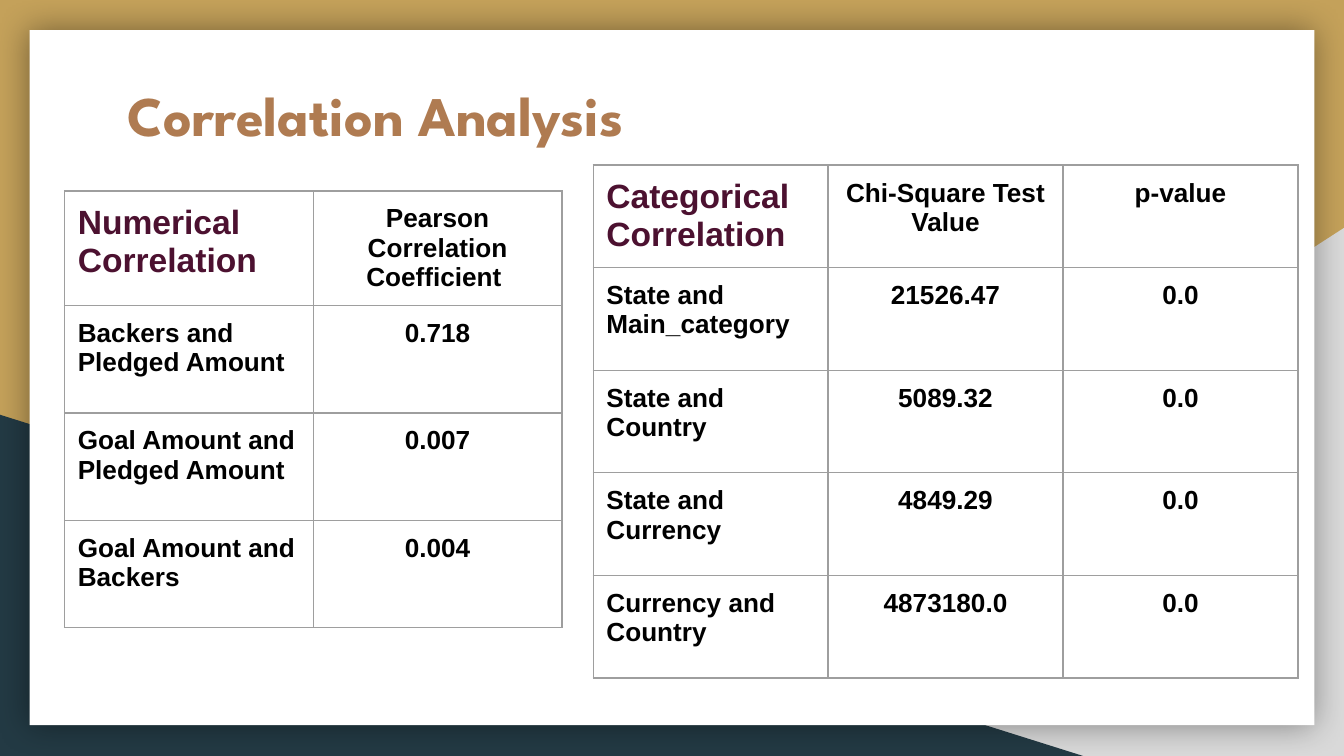
from lxml import etree
from pptx import Presentation
from pptx.dml.color import RGBColor
from pptx.enum import shapes, text
from pptx.oxml import ns
from pptx.util import Cm, Pt

GOLD = RGBColor(0xC4, 0xA1, 0x5A)
GREY = RGBColor(0xD9, 0xD9, 0xD9)
NAVY = RGBColor(0x23, 0x3A, 0x44)
WHITE = RGBColor(0xFF, 0xFF, 0xFF)
BLACK = RGBColor(0x00, 0x00, 0x00)
COPPER = RGBColor(0xAF, 0x7B, 0x51)
PLUM = RGBColor(0x4C, 0x11, 0x30)
BORDER = RGBColor(0x9E, 0x9E, 0x9E)

PLAIN_TABLE = "{2D5ABB26-0587-4C30-8999-92F81FD0307C}"
INSET = Cm(0.25)

NUMERICAL = [
    ("Numerical Correlation", "Pearson Correlation Coefficient "),
    ("Backers and Pledged Amount", "0.718"),
    ("Goal Amount and Pledged Amount", "0.007"),
    ("Goal Amount and Backers", "0.004"),
]
CATEGORICAL = [
    ("Categorical Correlation", "Chi-Square Test Value", "p-value"),
    ("State and Main_category", "21526.47", "0.0"),
    ("State and Country", "5089.32", "0.0"),
    ("State and Currency", "4849.29", "0.0"),
    ("Currency and Country", "4873180.0", "0.0"),
]


def set_font(p, name, size, color):
    p.font.name = name
    p.font.size = Pt(size)
    p.font.bold = True
    p.font.color.rgb = color


def add_block(slide, kind, box, color):
    sp = slide.shapes.add_shape(kind, *map(Cm, box))
    sp.shadow.inherit = False
    sp.fill.solid()
    sp.fill.fore_color.rgb = color
    sp.line.fill.background()
    return sp


def add_glow_shadow(sp):
    effects = sp._element.spPr.find(ns.qn("a:effectLst"))
    shadow = etree.SubElement(effects, ns.qn("a:outerShdw"),
                              blurRad=str(Pt(18)), dist="0", dir="0",
                              algn="ctr", rotWithShape="0")
    color = etree.SubElement(shadow, ns.qn("a:srgbClr"), val=str(BLACK))
    etree.SubElement(color, ns.qn("a:alpha"), val="40000")


def add_backdrop(slide):
    slide.background.fill.solid()
    slide.background.fill.fore_color.rgb = GOLD
    triangle = shapes.MSO_SHAPE.RIGHT_TRIANGLE
    right = add_block(slide, triangle, (9.96, 4.31, 15.44, 9.98), GREY)
    right._element.spPr.xfrm.set("flipH", "1")
    add_block(slide, triangle, (0, 7.84, 20.47, 6.45), NAVY)
    card = add_block(slide, shapes.MSO_SHAPE.RECTANGLE,
                     (0.56, 0.57, 24.28, 13.14), WHITE)
    add_glow_shadow(card)


def add_title(slide, words):
    title = slide.shapes.title
    slide.shapes._spTree.append(title._element)
    title.left, title.top = Cm(2.16), Cm(1.19)
    title.width, title.height = Cm(13.31), Cm(1.93)
    tf = title.text_frame
    tf.text = words
    tf.auto_size = text.MSO_AUTO_SIZE.NONE
    tf.vertical_anchor = text.MSO_ANCHOR.MIDDLE
    tf.margin_left = tf.margin_right = INSET
    tf.margin_top = tf.margin_bottom = INSET
    p = tf.paragraphs[0]
    p.alignment = text.PP_ALIGN.LEFT
    set_font(p, "League Spartan", 30, COPPER)


def add_borders(cell):
    tc_pr = cell._tc.get_or_add_tcPr()
    for index, side in enumerate(("a:lnL", "a:lnR", "a:lnT", "a:lnB")):
        line = etree.Element(ns.qn(side), w=str(Pt(0.75)))
        fill = etree.SubElement(line, ns.qn("a:solidFill"))
        etree.SubElement(fill, ns.qn("a:srgbClr"), val=str(BORDER))
        tc_pr.insert(index, line)


def fill_cell(cell, words, is_heading, is_label):
    cell.text = words
    cell.margin_left = cell.margin_right = INSET
    cell.margin_top = cell.margin_bottom = INSET
    cell.fill.background()
    add_borders(cell)
    p = cell.text_frame.paragraphs[0]
    p.alignment = text.PP_ALIGN.LEFT if is_label else text.PP_ALIGN.CENTER
    if is_heading:
        set_font(p, "Arial", 18, PLUM)
    else:
        set_font(p, "Arial", 14, BLACK)


def add_correlation_table(slide, rows, left, top, col_width, row_height):
    n_rows, n_cols = len(rows), len(rows[0])
    frame = slide.shapes.add_table(
        n_rows, n_cols, Cm(left), Cm(top),
        Cm(col_width * n_cols), Cm(row_height * n_rows))
    table = frame.table
    table.first_row = table.horz_banding = False
    table._tbl.tblPr.find(ns.qn("a:tableStyleId")).text = PLAIN_TABLE
    for r, row in enumerate(rows):
        for c, words in enumerate(row):
            fill_cell(table.cell(r, c), words, r == c == 0, c == 0)


def main():
    prs = Presentation()
    prs.slide_width, prs.slide_height = Cm(25.4), Cm(14.29)
    slide = prs.slides.add_slide(prs.slide_layouts[5])
    add_backdrop(slide)
    add_title(slide, "Correlation Analysis")
    add_correlation_table(slide, NUMERICAL, 1.22, 3.61, 4.7, 2.03)
    add_correlation_table(slide, CATEGORICAL, 11.21, 3.12, 4.44, 1.94)
    prs.save("out.pptx")


if __name__ == "__main__":
    main()
